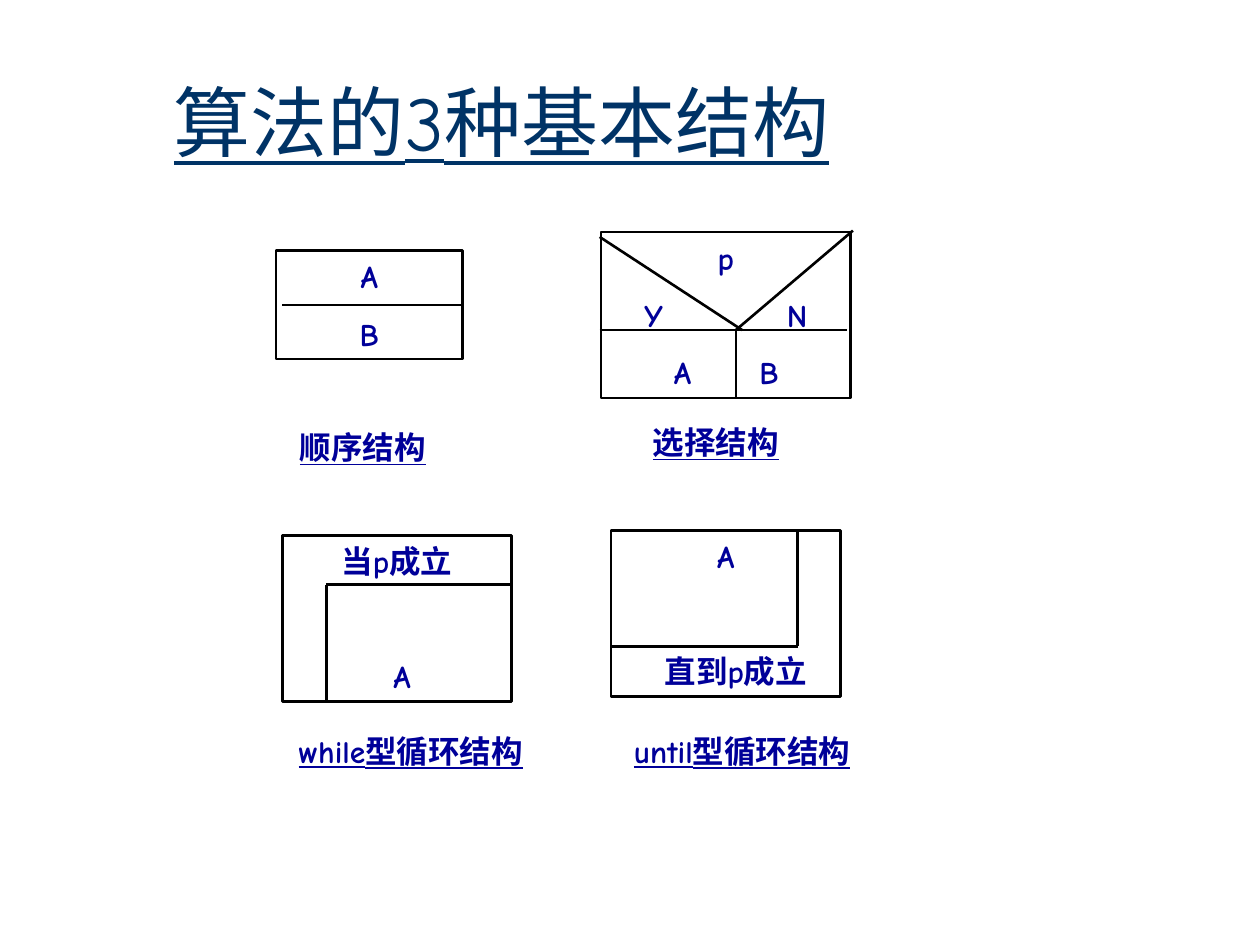
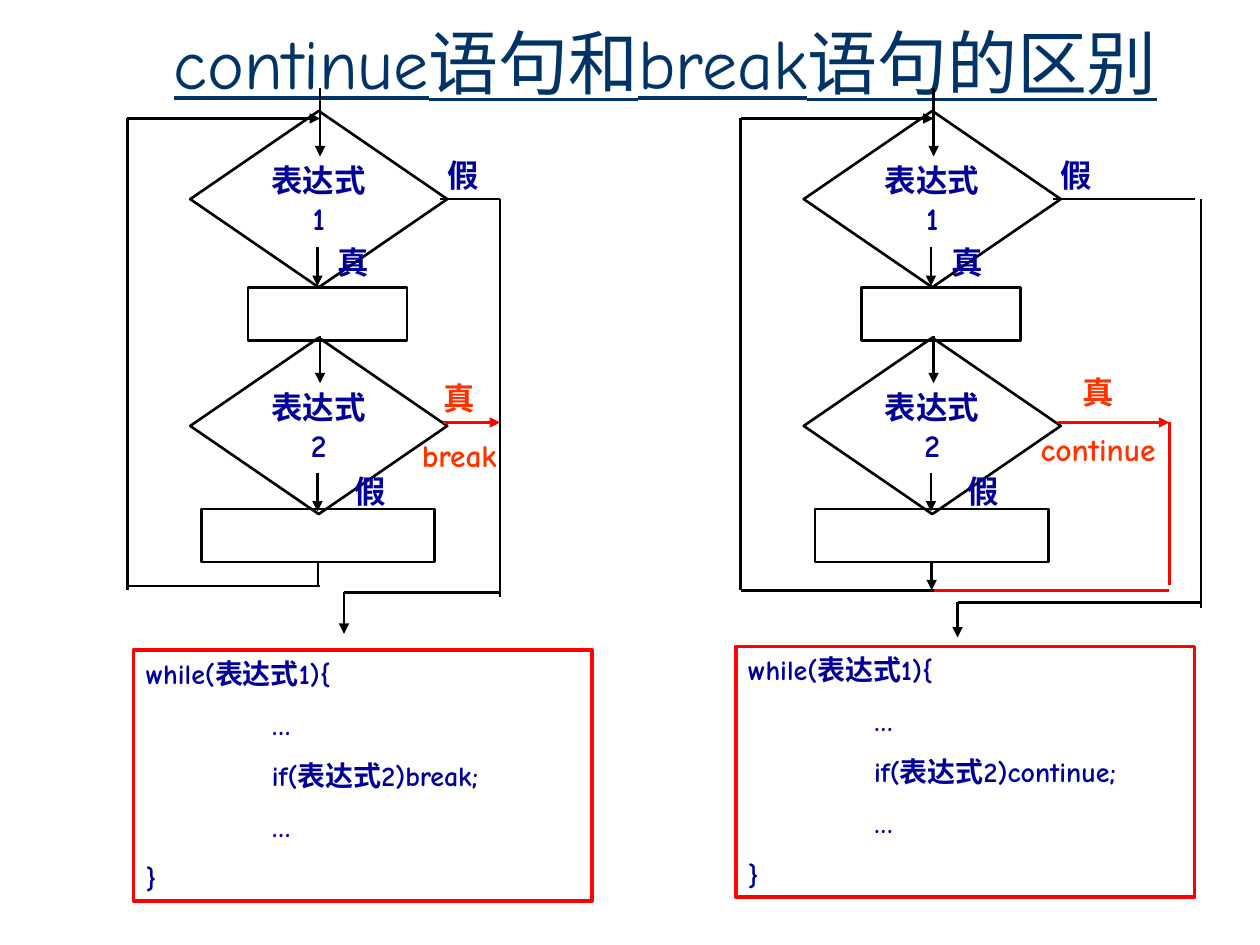
from pptx import Presentation
from pptx.dml.color import RGBColor
from pptx.enum.shapes import MSO_CONNECTOR, MSO_SHAPE
from pptx.enum.text import MSO_ANCHOR as Anchor, MSO_AUTO_SIZE, PP_ALIGN as Align
from pptx.oxml.ns import qn
from pptx.util import Pt
from lxml.etree import SubElement

TITLE_BLUE = RGBColor(0x00, 0x33, 0x66)
TEXT_BLUE = RGBColor(0x00, 0x00, 0x99)
BLACK = RGBColor(0x00, 0x00, 0x00)
RED = RGBColor(0xFF, 0x00, 0x00)
ORANGE = RGBColor(0xFF, 0x33, 0x00)
FONT = "Comic Neue"
GAP = 11.2  # space before a paragraph
BRANCH_SHIFT = 350.6  # from the break chart to the continue chart
DECISION_STEP = 129.6


class Deck:
    def __init__(self):
        self.presentation = Presentation()
        self.presentation.slide_width = Pt(720)
        self.presentation.slide_height = Pt(540)
        self.slide = None

    def add_slide(self, heading, top, size):
        layout = self.presentation.slide_layouts[5]
        self.slide = self.presentation.slides.add_slide(layout)
        title = self.slide.shapes.title
        title.left, title.top, title.width, title.height = Pt(92.2), Pt(top), Pt(612), Pt(90)
        title.text_frame.vertical_anchor = Anchor.MIDDLE
        self.set_lines(title, [heading], size, TITLE_BLUE, Align.LEFT, bold=False, underline=True)

    def set_lines(self, holder, lines, size=18, color=TEXT_BLUE, align=Align.CENTER,
                  gap=GAP, bold=True, underline=False):
        frame = holder.text_frame
        frame.word_wrap = True
        frame.auto_size = MSO_AUTO_SIZE.NONE
        frame.text = "\n".join(lines)
        for index, paragraph in enumerate(frame.paragraphs):
            paragraph.alignment = align
            paragraph.space_before = Pt(gap if index else 0)
            for run in paragraph.runs:
                font = run.font
                font.name, font.size, font.bold = FONT, Pt(size), bold
                font.underline = underline
                font.color.rgb = color

    def set_tabs(self, paragraph, stops, kind="l"):
        properties = paragraph._p.get_or_add_pPr()
        tabs = SubElement(properties, qn("a:tabLst"))
        for stop in stops:
            SubElement(tabs, qn("a:tab"), pos=str(Pt(stop)), algn=kind)

    def indent(self, paragraph, left):
        paragraph._p.get_or_add_pPr().set("marL", str(Pt(left)))

    def box(self, left, top, width, height, kind=MSO_SHAPE.RECTANGLE,
            lines=(), color=BLACK, weight=1.5, **style):
        shape = self.slide.shapes.add_shape(kind, Pt(left), Pt(top), Pt(width), Pt(height))
        shape.shadow.inherit = False
        shape.fill.background()
        shape.line.color.rgb = color
        shape.line.width = Pt(weight)
        if lines:
            self.set_lines(shape, lines, **style)
        return shape

    def label(self, left, top, width, *lines, height=28.8, **style):
        text = self.slide.shapes.add_textbox(Pt(left), Pt(top), Pt(width), Pt(height))
        self.set_lines(text, lines, **style)

    def line(self, x1, y1, x2, y2, color=BLACK, arrow=False):
        connector = self.slide.shapes.add_connector(
            MSO_CONNECTOR.STRAIGHT, Pt(x1), Pt(y1), Pt(x2), Pt(y2))
        connector.line.color.rgb = color
        connector.line.width = Pt(1.5)
        properties = connector._element.spPr
        if arrow:
            SubElement(properties.get_or_add_ln(), qn("a:tailEnd"), type="triangle")
        SubElement(properties, qn("a:effectLst"))
        return connector


def add_structures(deck):
    deck.add_slide("算法的3种基本结构", 23.8, 44)

    sequence = deck.box(157.7, 143.3, 106.6, 61.9, lines=["A", "B"])
    deck.line(161.3, 174.25, 264.3, 174.25).end_connect(sequence, 3)

    selection = deck.box(343.4, 132.5, 142.6, 95, lines=["p", "\tY\tN", "\tA\tB"])
    for paragraph, stops in zip(selection.text_frame.paragraphs[1:], [(23, 105), (39.5, 89)]):
        deck.set_tabs(paragraph, stops, "ctr")
        paragraph.alignment = Align.LEFT
    deck.line(342.7, 188.6, 483.8, 188.6)
    deck.line(342.7, 135.4, 424.1, 188.6)
    deck.line(487.4, 131.8, 420.5, 188.6)
    deck.line(420.5, 188.6, 420.5, 227.5)

    while_loop = deck.box(161.3, 306, 131, 95, lines=["当p成立", "A"], gap=44)
    deck.indent(while_loop.text_frame.paragraphs[1], 6)
    deck.line(186.5, 334.1, 293, 334.1)
    deck.line(186.5, 334.1, 186.5, 401)

    until_loop = deck.box(349.2, 303.1, 131, 95, lines=["A", "直到p成立"], gap=44)
    deck.indent(until_loop.text_frame.paragraphs[1], 11.5)
    deck.line(349.2, 369.4, 455.8, 369.4)
    deck.line(455.8, 302.4, 455.8, 369.4)

    for left, top, width, caption in [
        (162.4, 241.2, 90, "顺序结构"),
        (364, 238.3, 90, "选择结构"),
        (158.4, 414.7, 152.6, "while型循环结构"),
        (335.5, 414.7, 177.1, "until型循环结构"),
    ]:
        deck.label(left, top, width, caption, underline=True)


def add_loop_chart(deck, x, exit_x, false_end, exit_y, arrow_end, loop_y):
    """Draw the parts both loops share, moved right by x."""
    deck.box(x + 141.8, 164.2, 90.7, 30.2, MSO_SHAPE.FLOWCHART_PROCESS)
    last_step = deck.box(x + 115.2, 290.9, 133.2, 30.2, MSO_SHAPE.FLOWCHART_PROCESS)
    for number, (entry_top, exit_top) in enumerate([(50.4, 141.1), (192.2, 270)]):
        top = 63.4 + number * DECISION_STEP
        deck.box(x + 108.7, top, 146.9, 100.8, MSO_SHAPE.FLOWCHART_DECISION,
                 [f"表达式{number + 1}"])
        deck.line(x + 182.9, entry_top, x + 182.9, top + 26, arrow=True)
        deck.line(x + 181.4, exit_top, x + 181.4, exit_top + 22.3, arrow=True)

    deck.label(x + 179.3, 135.4, 45.4, "真")
    deck.label(x + 236.2, 85.7, 56.9, "假")
    deck.label(x + 193.7, 266.4, 35.3, "假")

    deck.line(x + false_end, 113.8, x + 251.3, 113.8)
    deck.line(x + exit_x, 113.8, x + exit_x, exit_y + 3)
    deck.line(x + 196.6, exit_y, x + exit_x, exit_y)
    deck.line(x + 196.6, exit_y, x + 196.6, arrow_end, arrow=True)

    deck.line(x + 72.7, 67.7, x + 182.9, 67.7, arrow=True)
    deck.line(x + 72.7, 67.7, x + 72.7, 337)
    deck.line(x + 72.7, loop_y, x + 182.9, loop_y)
    back = deck.line(x + 181.8, 321.1, x + 181.8, loop_y, arrow=x > 0)
    back.begin_connect(last_step, 2)


def add_jump(deck, keyword, label_left, label_top, start, end, code_left, code_top):
    """Draw the red jump out of the second decision and the code below."""
    deck.line(start, 241.4, end, 241.4, RED, arrow=True)
    deck.label(label_left, label_top, 103, "真", keyword, height=61.9, color=ORANGE)
    code = ["while(表达式1){", "\t…", f"\tif(表达式2){keyword};", "\t…", "}"]
    listing = deck.box(code_left, code_top, 262.1, 143.3, color=RED, weight=2,
                       lines=code, size=16, align=Align.LEFT, gap=10)
    listing.text_frame.vertical_anchor = Anchor.TOP
    for paragraph in listing.text_frame.paragraphs:
        deck.set_tabs(paragraph, [72])


def add_comparison(deck):
    deck.add_slide("continue语句和break语句的区别", -10.1, 40)
    add_loop_chart(deck, 0, exit_x=285.8, false_end=285.8,
                   exit_y=338.4, arrow_end=362.2, loop_y=334.8)
    add_jump(deck, "break", 211, 213.1, 253.4, 285.8, 76.3, 371.5)

    add_loop_chart(deck, BRANCH_SHIFT, exit_x=335.6, false_end=332,
                   exit_y=344.2, arrow_end=364.3, loop_y=337.3)
    add_jump(deck, "continue", 576, 209.5, 604.8, 668.2, 420.5, 369.4)
    deck.line(668.2, 241.4, 668.2, 334.1, RED)
    deck.line(533.5, 337.3, 668.2, 337.3, RED)


def main():
    deck = Deck()
    add_structures(deck)
    add_comparison(deck)
    deck.presentation.save("out.pptx")


if __name__ == "__main__":
    main()
